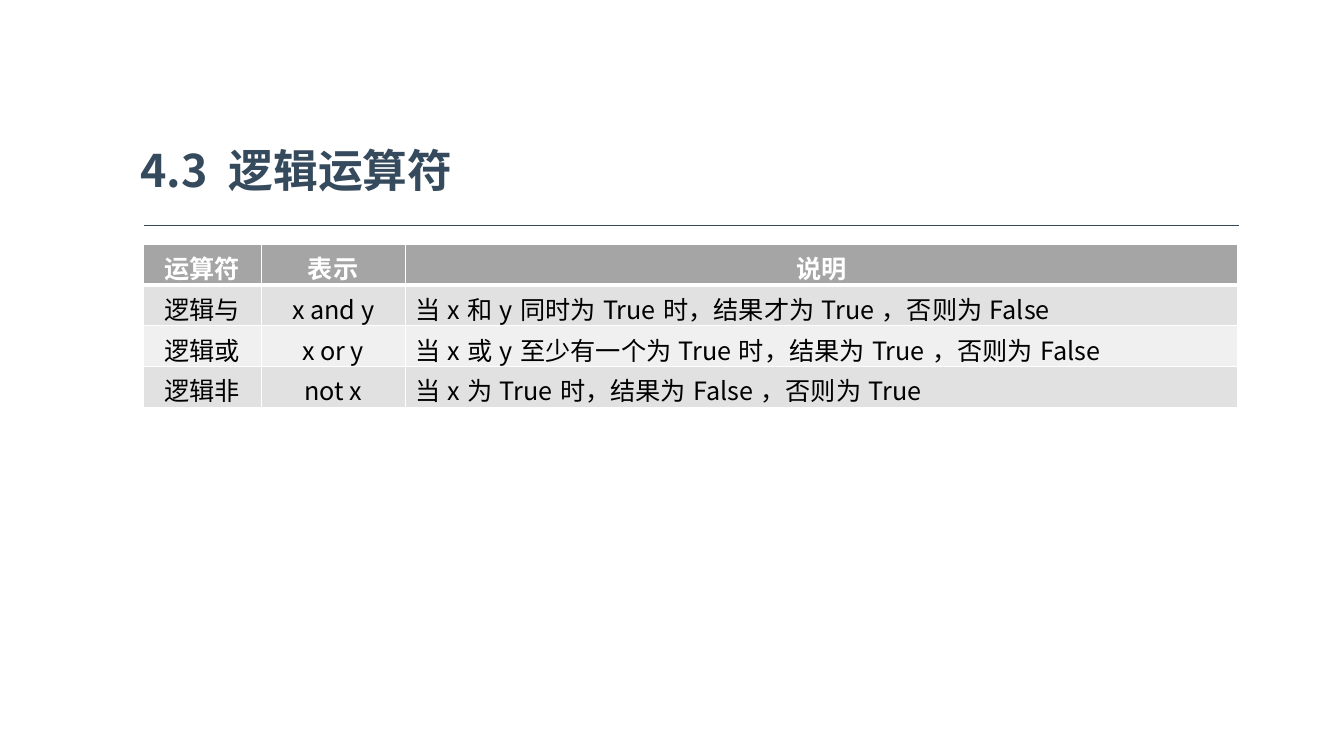
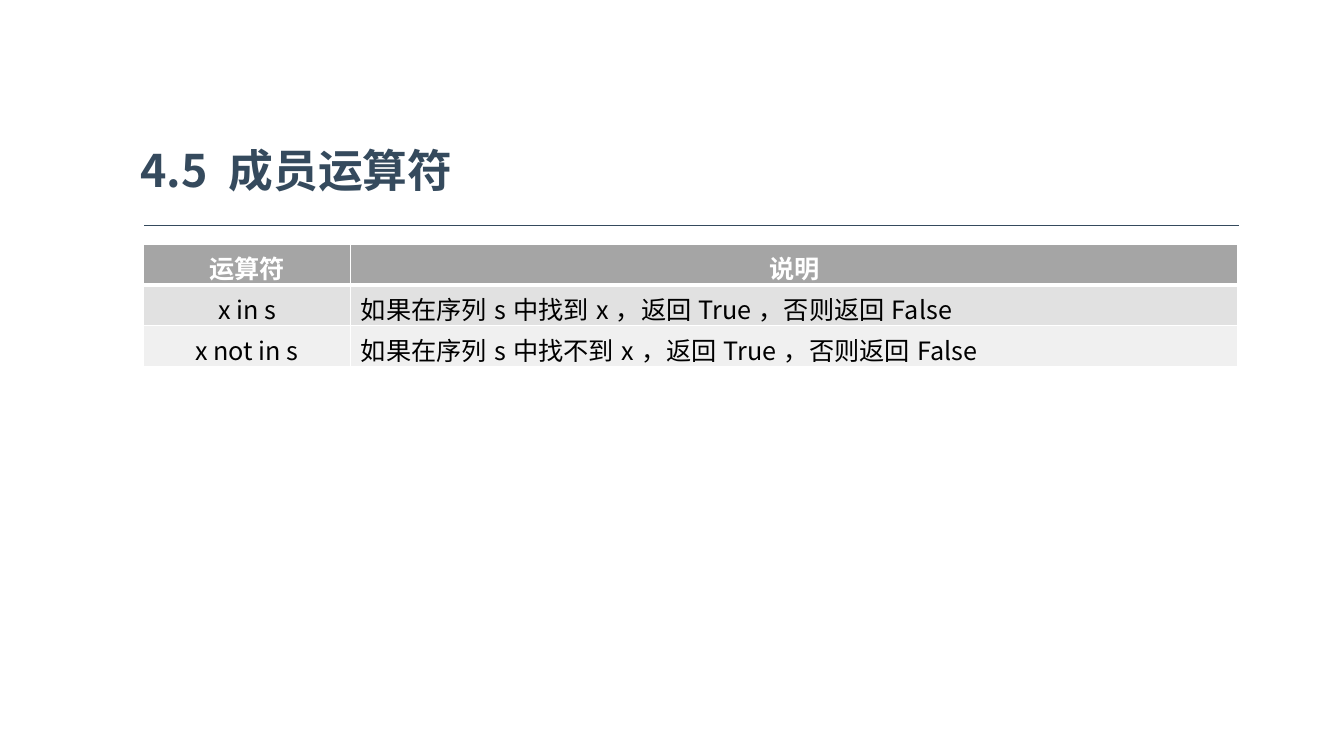
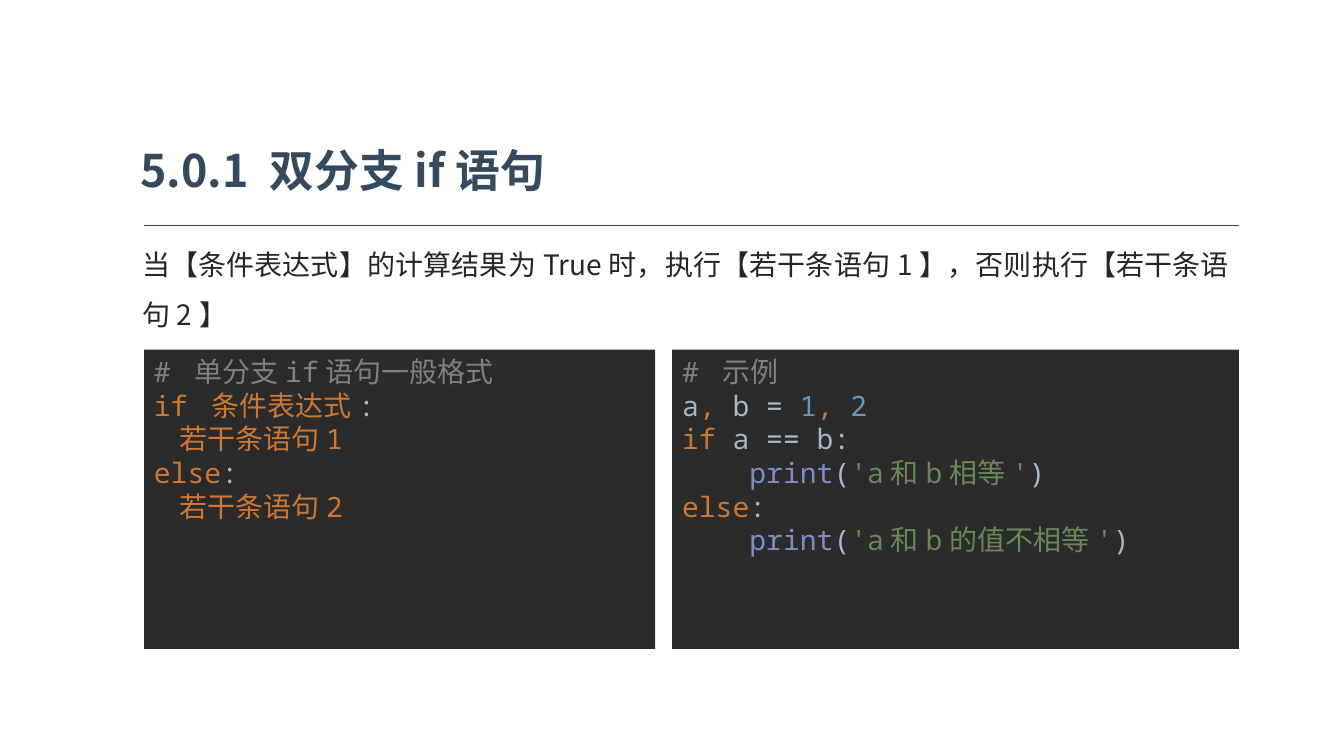
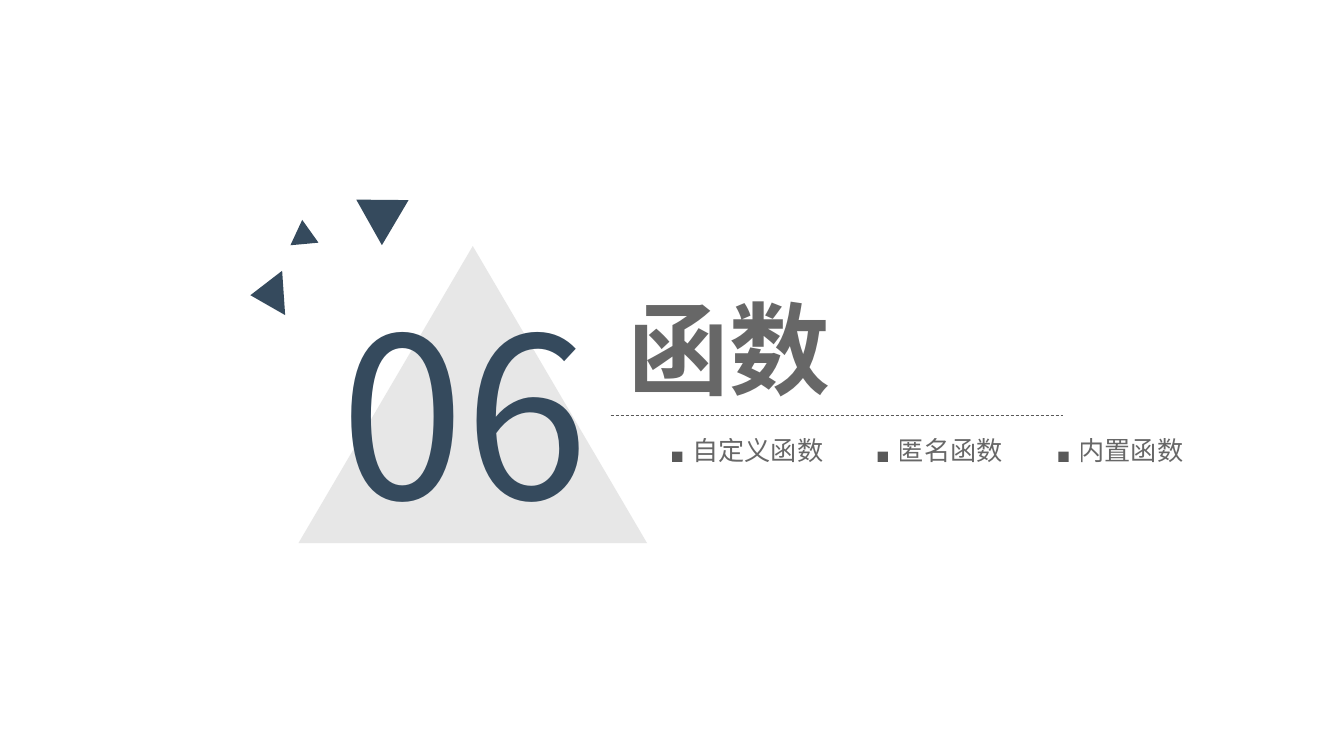
import pptx
import pptx.util
import pptx.dml.color
import pptx.enum.dml
import pptx.enum.shapes
import pptx.enum.text
import pptx.oxml.ns
import lxml.etree

Cm = pptx.util.Cm
Pt = pptx.util.Pt
RGB = pptx.dml.color.RGBColor
KIND = pptx.enum.shapes.MSO_SHAPE
ALIGN = pptx.enum.text.PP_ALIGN
ANCHOR = pptx.enum.text.MSO_ANCHOR
qn = pptx.oxml.ns.qn

# Fonts and colours
SANS = "Noto Sans CJK SC"
MONO = "Noto Sans Mono"
NAVY = RGB(0x35, 0x4A, 0x5D)
GREY = RGB(0x59, 0x59, 0x59)
INK = RGB(0x26, 0x26, 0x26)
BLACK = RGB(0, 0, 0)
WHITE = RGB(255, 255, 255)
HEAD = RGB(0xA5, 0xA5, 0xA5)
BANDS = RGB(0xE1, 0xE1, 0xE1), RGB(0xF0, 0xF0, 0xF0)

# Code colours
DARK = RGB(0x2B, 0x2B, 0x2B)
NOTE = RGB(0x80, 0x80, 0x80)
KEY = RGB(0xCC, 0x78, 0x32)
PLAIN = RGB(0xA9, 0xB7, 0xC6)
NUM = RGB(0x68, 0x97, 0xBB)
CALL = RGB(0x88, 0x88, 0xC6)
QUOTE = RGB(0x6A, 0x87, 0x59)

# Shared edges, in cm
LEFT, RIGHT, RULE = 3.63, 31.22, 5.69


def fade(node, part):
    """Give the first colour in node an opacity in percent."""
    tint = next(node.iter(qn("a:srgbClr")))
    lxml.etree.SubElement(tint, qn("a:alpha")).set("val", str(part * 1000))


def style(run, size, color, bold=False, name=SANS, part=None):
    font = run.font
    font.size, font.bold, font.name = Pt(size), bold, name
    font.color.rgb = color
    east = lxml.etree.SubElement(run._r.get_or_add_rPr(), qn("a:ea"))
    east.set("typeface", SANS)
    if part:
        fade(run._r, part)


def label(shapes, box, text, size, color, wrap=False, **look):
    frame = shapes.add_textbox(*map(Cm, box)).text_frame
    frame.word_wrap = wrap
    frame.text = text
    style(frame.paragraphs[0].runs[0], size, color, **look)
    return frame


def block(shapes, kind, box, color, turn=0, part=None):
    shape = shapes.add_shape(kind, *map(Cm, box))
    shape.shadow.inherit = False
    shape.fill.solid()
    shape.fill.fore_color.rgb = color
    shape.line.fill.background()
    shape.rotation = turn
    if part:
        fade(shape._element.spPr, part)
    return shape


def rule(slide, start, end, top, color, dash=None):
    line = slide.shapes.add_connector(
        pptx.enum.shapes.MSO_CONNECTOR.STRAIGHT,
        Cm(start), Cm(top), Cm(end), Cm(top))
    line.line.color.rgb = color
    line.line.width = Pt(0.5)
    if dash:
        line.line.dash_style = dash
    lxml.etree.SubElement(line._element.spPr, qn("a:effectLst"))


def page(deck, title=None):
    """Add a slide, with the title and its rule if there is one."""
    slide = deck.slides.add_slide(deck.slide_layouts[6])
    if title:
        frame = label(slide.shapes, (3.2, 3.35, 17.65, 1.85), title, 32, NAVY,
                      wrap=True, bold=True)
        frame.vertical_anchor = ANCHOR.MIDDLE
        frame.margin_left = frame.margin_right = Cm(0.33)
        frame.margin_top = frame.margin_bottom = Cm(0.18)
        rule(slide, LEFT, RIGHT, RULE, NAVY)
    return slide


def edge(cell, **sides):
    """Draw white cell borders; sides maps L, R, T, B to points."""
    props = cell._tc.get_or_add_tcPr()
    for side, width in sides.items():
        line = lxml.etree.SubElement(props, qn("a:ln" + side))
        line.set("w", str(Pt(width)))
        fill = lxml.etree.SubElement(line, qn("a:solidFill"))
        lxml.etree.SubElement(fill, qn("a:srgbClr")).set("val", str(WHITE))


def grid(slide, widths, rows):
    """Table whose last column is left-aligned below the header."""
    table = slide.shapes.add_table(
        len(rows), len(widths), Cm(3.61), Cm(6.15),
        Cm(sum(widths)), Cm(1.03 * len(rows))).table
    for col, width in zip(table.columns, widths):
        col.width = Cm(width)
    for r, row in enumerate(rows):
        top = r == 0
        for c, text in enumerate(row):
            cell = table.cell(r, c)
            edge(cell, L=1, R=1, T=3 if r == 1 else 1, B=3 if top else 1)
            cell.fill.solid()
            cell.fill.fore_color.rgb = HEAD if top else BANDS[(r - 1) % 2]
            cell.text_frame.text = text
            para = cell.text_frame.paragraphs[0]
            if top or c < len(row) - 1:
                para.alignment = ALIGN.CENTER
            style(para.runs[0], 18, WHITE if top else BLACK, bold=top)


def code(slide, left, width, lines):
    """Dark panel; each line is a list of (text, colour) pieces."""
    panel = block(slide.shapes, KIND.RECTANGLE, (left, 8.81, width, 7.54), DARK)
    frame = panel.text_frame
    frame.word_wrap = True
    frame.vertical_anchor = ANCHOR.TOP
    for i, line in enumerate(lines):
        para = frame.add_paragraph() if i else frame.paragraphs[0]
        para.alignment = ALIGN.LEFT
        for text, color in line:
            run = para.add_run()
            run.text = text
            style(run, 20, color, name=MONO)


def show(text):
    """Code line that prints a text."""
    return [("    ", PLAIN), ("print", CALL), ("(", PLAIN),
            (text, QUOTE), (")", PLAIN)]


def topic(slide, left, width, text):
    """Small square with a label after it."""
    shapes = slide.shapes.add_group_shape().shapes
    block(shapes, KIND.RECTANGLE, (left, 11.38, 0.26, 0.26), GREY)
    label(shapes, (left + 0.26, 10.82, width, 1.07), text, 18.7, GREY, part=91)


def logic(deck):
    grid(page(deck, "4.3 逻辑运算符"), (2.97, 3.63, 20.98), (
        ("运算符", "表示", "说明"),
        ("逻辑与", "x and y", "当x和y同时为True时，结果才为True，否则为False"),
        ("逻辑或", "x or y", "当x或y至少有一个为True时，结果为True，否则为False"),
        ("逻辑非", "not x", "当x为True时，结果为False，否则为True")))


def member(deck):
    grid(page(deck, "4.5 成员运算符"), (5.23, 22.35), (
        ("运算符", "说明"),
        ("x in s", "如果在序列s中找到x，返回True，否则返回False"),
        ("x not in s", "如果在序列s中找不到x，返回True，否则返回False")))


def branch(deck):
    slide = page(deck, "5.0.1 双分支if语句")
    frame = label(
        slide.shapes, (3.33, RULE, 27.89, 2.67),
        "当【条件表达式】的计算结果为True时，执行【若干条语句1】，否则执行【若干条语句2】",
        20, INK, wrap=True)
    frame.paragraphs[0].line_spacing = 1.5
    frame.paragraphs[0].alignment = ALIGN.JUSTIFY
    other = [("else", KEY), (":", PLAIN)]
    code(slide, LEFT, 12.88, (
        [("# 单分支if语句一般格式", NOTE)],
        [("if 条件表达式", KEY), (":", PLAIN)],
        [("    ", PLAIN), ("若干条语句1", KEY)],
        other,
        [("    ", PLAIN), ("若干条语句2", KEY)]))
    code(slide, 16.94, 14.28, (
        [("# 示例", NOTE)],
        [("a", PLAIN), (", ", KEY), ("b = ", PLAIN),
         ("1", NUM), (", ", KEY), ("2", NUM)],
        [("if ", KEY), ("a == b:", PLAIN)],
        show("'a和b相等'"),
        other,
        show("'a和b的值不相等'")))


def chapter(deck):
    slide = page(deck)
    shapes = slide.shapes
    block(shapes, KIND.ISOSCELES_TRIANGLE, (7.52, 6.2, 8.79, 7.49), GREY,
          part=14)
    label(shapes, (8.33, 6.83, 7.21, 7.09), "06", 160, NAVY)
    label(shapes, (15.6, 7.09, 5.64, 3.33), "函数", 72, GREY, bold=True, part=91)
    rule(slide, 15.39, 26.8, 10.46, GREY, pptx.enum.dml.MSO_LINE.DASH)
    # Loose triangles
    for box, turn in (((8.81, 4.75, 1.32, 1.14), 300.6),
                      ((7.29, 5.54, 0.71, 0.61), 354.7),
                      ((6.17, 6.99, 1.12, 0.84), 266.1)):
        block(shapes, KIND.ISOSCELES_TRIANGLE, box, NAVY, turn)
    # Topics
    topic(slide, 16.94, 3.84, "自定义函数")
    topic(slide, 22.12, 3.18, "匿名函数")
    topic(slide, 26.67, 3.18, "内置函数")


def main():
    deck = pptx.Presentation()
    deck.slide_width, deck.slide_height = Cm(33.87), Cm(19.05)
    for build in (logic, member, branch, chapter):
        build(deck)
    deck.save("out.pptx")


if __name__ == "__main__":
    main()
